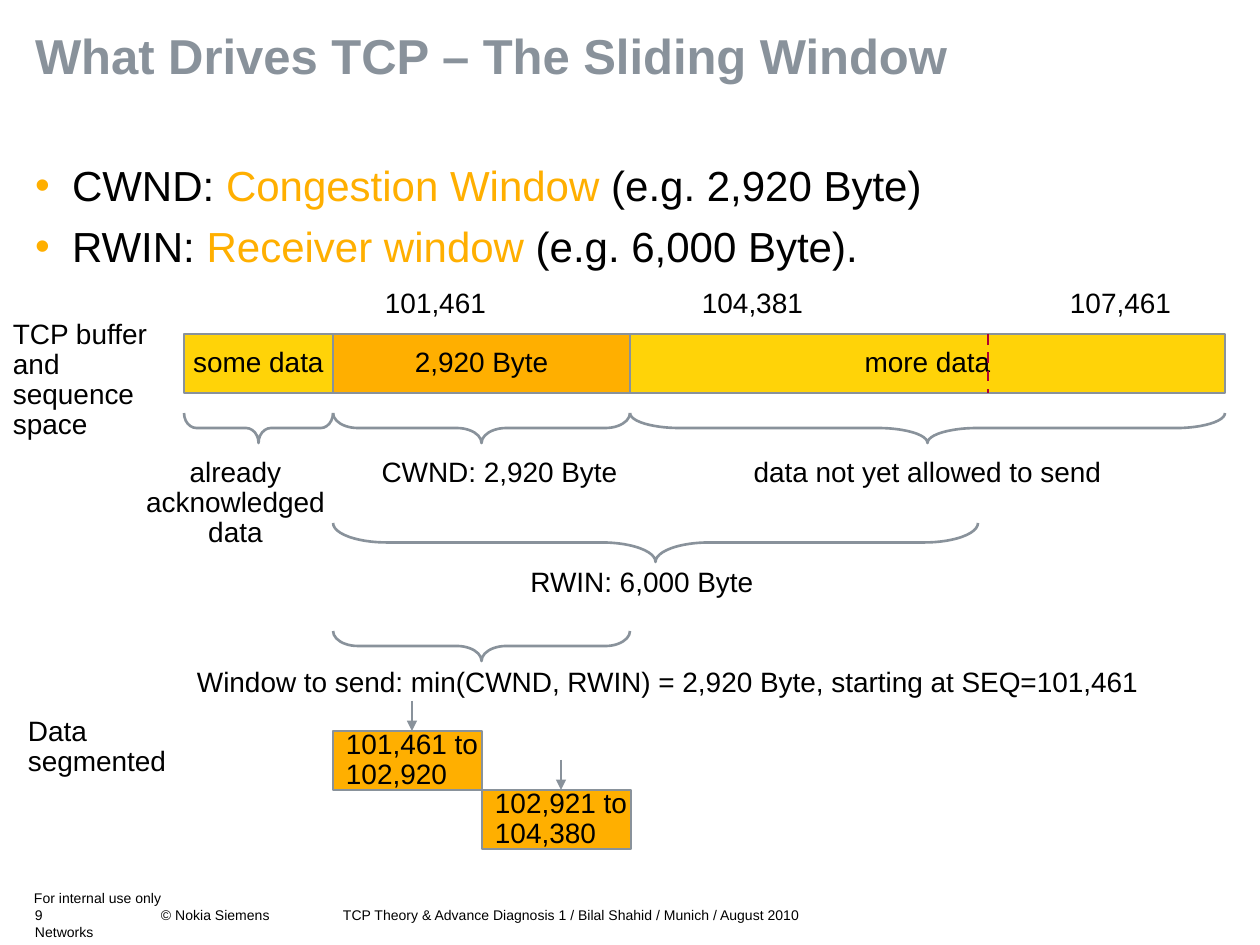
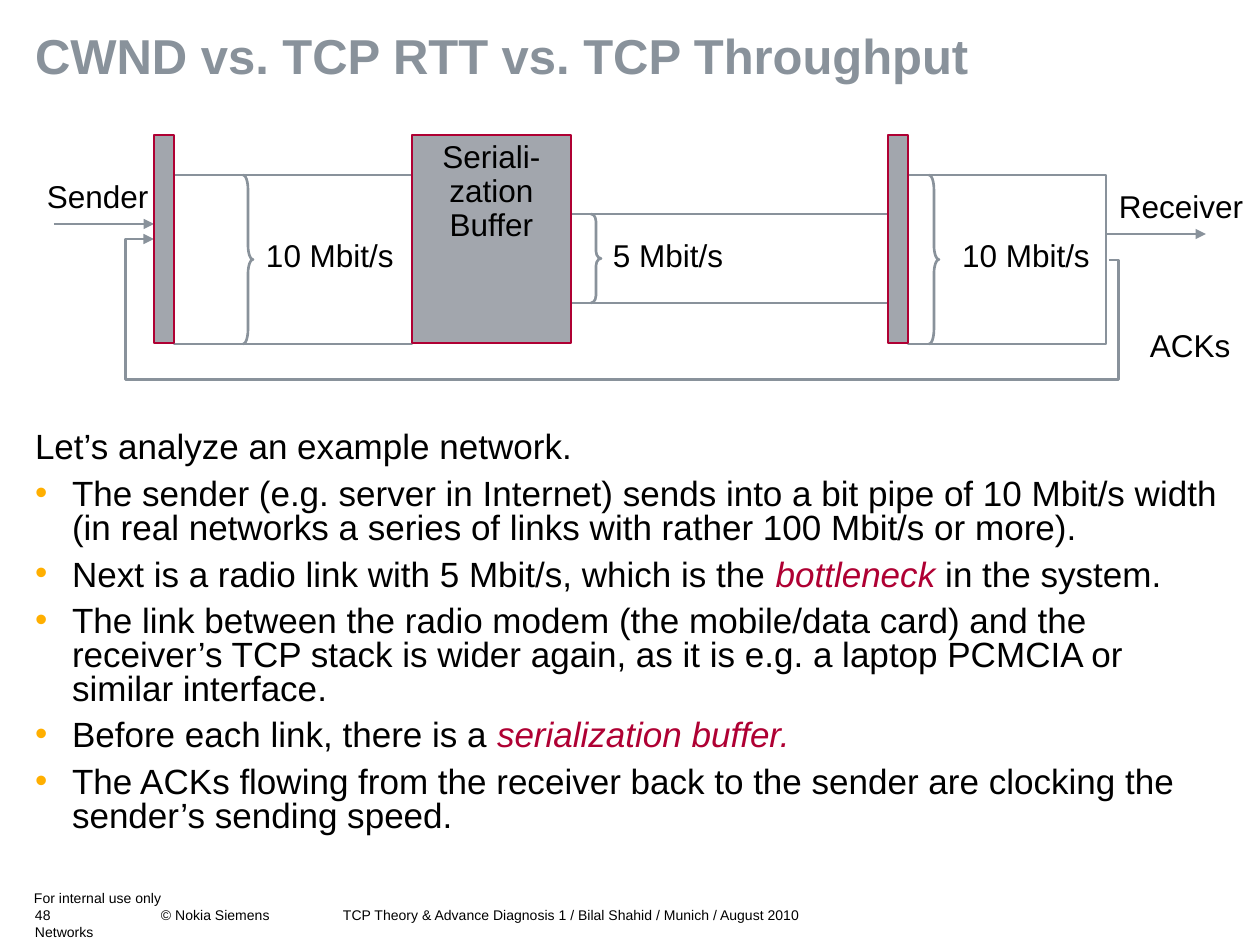
from copy import deepcopy
from dataclasses import dataclass
from typing import Optional

from pptx import Presentation
from pptx.dml.color import RGBColor
from pptx.enum.dml import MSO_LINE
from pptx.enum.shapes import MSO_CONNECTOR as Connector, MSO_SHAPE as Preset
from pptx.enum.text import MSO_ANCHOR as Anchor, MSO_AUTO_SIZE as AutoSize, PP_ALIGN as Align
from pptx.oxml.ns import qn
from pptx.oxml.xmlchemy import OxmlElement
from pptx.util import Emu, Inches, Pt

FONT = "Arial"
PX_PER_INCH = 126
COLORS = {
    "text": "000000",
    "gray": "89929B",
    "orange": "FFAF00",
    "yellow": "FFD308",
    "red": "AF0033",
    "buffer": "A2A6AD",
    "white": "FFFFFF",
}
LINE_WIDTH = Pt(1.5)
INSETS = (13, 6)
TALK = "TCP Theory & Advance Diagnosis 1 / Bilal Shahid / Munich / August 2010"


@dataclass
class Area:
    """Left, top, width and height in px."""
    left: int
    top: int
    width: int
    height: int

    def emu(self) -> list:
        return [px(n) for n in (self.left, self.top, self.width, self.height)]


@dataclass
class Label:
    text: str
    area: Area
    size: int = 16
    align: Align = Align.LEFT
    wrap: bool = False


@dataclass
class Block:
    area: Area
    fill: Optional[str] = None
    line: str = "gray"
    text: str = ""
    size: int = 16
    align: Align = Align.CENTER
    anchor: Anchor = Anchor.MIDDLE
    wrap: bool = False


@dataclass
class Bullets:
    """Paragraph text marks accented passages with bars."""
    area: Area
    size: int
    line_spacing: float
    space_before: float
    accent: str
    accent_italic: bool
    paragraphs: list
    intro: str = ""


def px(number: float) -> Emu:
    return Emu(round(number * Inches(1) / PX_PER_INCH))


def rgb(name: str) -> RGBColor:
    return RGBColor.from_string(COLORS[name])


def add_element(parent, tag: str, **attributes):
    element = OxmlElement(tag)
    for name, value in attributes.items():
        element.set(name, str(value))
    parent.append(element)
    return element


# Text helpers
def format_run(run, size: float, color: str = "text", bold=False, italic=False) -> None:
    font = run.font
    font.name, font.size = FONT, Pt(size)
    font.bold, font.italic = bold, italic
    font.color.rgb = rgb(color)


def set_frame(text_frame, wrap=True, anchor=Anchor.TOP, insets=(0, 0)) -> None:
    text_frame.auto_size = AutoSize.NONE
    text_frame.word_wrap = wrap
    text_frame.vertical_anchor = anchor
    text_frame.margin_left = text_frame.margin_right = px(insets[0])
    text_frame.margin_top = text_frame.margin_bottom = px(insets[1])


def write(text_frame, text: str, size: float, align=Align.LEFT, color="text",
          bold=False, line_spacing: float = 0.9) -> None:
    paragraph = text_frame.paragraphs[0]
    paragraph.text = text
    paragraph.alignment = align
    paragraph.line_spacing = line_spacing
    for run in paragraph.runs:
        format_run(run, size, color, bold)
    # Line breaks take the size of the text around them
    for line_break in paragraph._p.findall(qn("a:br")):
        line_break.append(deepcopy(paragraph.runs[0]._r.get_or_add_rPr()))


def add_label(slide, label: Label) -> None:
    text_frame = slide.shapes.add_textbox(*label.area.emu()).text_frame
    set_frame(text_frame, label.wrap, insets=INSETS)
    write(text_frame, label.text, label.size, label.align)


def add_bullets(slide, bullets: Bullets) -> None:
    text_frame = slide.shapes.add_textbox(*bullets.area.emu()).text_frame
    set_frame(text_frame)
    texts = [bullets.intro] * bool(bullets.intro) + bullets.paragraphs
    for index, text in enumerate(texts):
        paragraph = text_frame.add_paragraph() if index else text_frame.paragraphs[0]
        if text != bullets.intro:
            properties = paragraph._p.get_or_add_pPr()
            properties.set("marL", str(px(37)))
            properties.set("indent", str(px(-37)))
            bullet_color = add_element(properties, "a:buClr")
            add_element(bullet_color, "a:srgbClr", val=COLORS["orange"])
            add_element(properties, "a:buFont", typeface=FONT)
            add_element(properties, "a:buChar", char="•")
        paragraph.line_spacing = bullets.line_spacing
        paragraph.space_before = Pt(bullets.space_before if index else 0)
        for position, part in enumerate(text.split("|")):
            if part:
                accented = position % 2 == 1
                run = paragraph.add_run()
                run.text = part
                format_run(run, bullets.size, bullets.accent if accented else "text",
                           italic=accented and bullets.accent_italic)


# Shape helpers
def add_block(slide, block: Block) -> None:
    shape = slide.shapes.add_shape(Preset.RECTANGLE, *block.area.emu())
    shape.shadow.inherit = False
    if block.fill:
        shape.fill.solid()
        shape.fill.fore_color.rgb = rgb(block.fill)
    else:
        shape.fill.background()
    if block.line:
        shape.line.color.rgb = rgb(block.line)
        shape.line.width = LINE_WIDTH
    else:
        shape.line.fill.background()
    if block.text:
        set_frame(shape.text_frame, block.wrap, block.anchor, INSETS)
        write(shape.text_frame, block.text, block.size, block.align)


def add_brace(slide, area: Area, points_down: bool = False) -> None:
    left, top, width, height = area.left, area.top, area.width, area.height
    if points_down:
        left, top = left + (width - height) / 2, top + (height - width) / 2
        width, height = height, width
    shape = slide.shapes.add_shape(Preset.RIGHT_BRACE, px(left), px(top), px(width), px(height))
    shape.rotation = 90 if points_down else 0
    shape.adjustments[0] = height / 12 / width
    shape.shadow.inherit = False
    shape.fill.background()
    shape.line.color.rgb = rgb("gray")
    shape.line.width = LINE_WIDTH


def add_line(slide, start: tuple, end: tuple, color="gray", arrow=True, kind=Connector.STRAIGHT):
    connector = slide.shapes.add_connector(kind, *map(px, start + end))
    connector.line.color.rgb = rgb(color)
    connector.line.width = LINE_WIDTH
    if arrow:
        add_element(connector.line._get_or_add_ln(), "a:tailEnd", type="triangle")
    add_element(connector._element.spPr, "a:effectLst")
    return connector


def add_return_path(slide, start: tuple, end: tuple, bends: tuple) -> None:
    connector = add_line(slide, start, end, kind=Connector.ELBOW)
    geometry = connector._element.spPr.find(qn("a:prstGeom"))
    geometry.set("prst", "bentConnector5")
    guides = geometry.find(qn("a:avLst"))
    if guides is None:
        guides = add_element(geometry, "a:avLst")
    for number, bend in enumerate(bends, 1):
        add_element(guides, "a:gd", name=f"adj{number}", fmla=f"val {round(bend * 100000)}")


# Title and footers shared by the slides
def add_footer(slide, area: Area, text: str, tab: int = 0) -> None:
    text_frame = slide.shapes.add_textbox(*area.emu()).text_frame
    set_frame(text_frame)
    if tab:
        tabs = add_element(text_frame.paragraphs[0]._p.get_or_add_pPr(), "a:tabLst")
        add_element(tabs, "a:tab", pos=px(tab), algn="l")
    write(text_frame, text, 8, line_spacing=1.0)


def add_titled_slide(presentation, title: str, number: int):
    slide = presentation.slides.add_slide(presentation.slide_layouts[5])
    add_footer(slide, Area(34, 890, 420, 19), "For internal use only")
    add_footer(slide, Area(35, 907, 292, 34), f"{number}\t© Nokia Siemens Networks", tab=126)
    add_footer(slide, Area(343, 907, 525, 17), TALK)
    shape = slide.shapes.title
    shape.left, shape.top, shape.width, shape.height = Area(35, 32, 1189, 113).emu()
    set_frame(shape.text_frame)
    write(shape.text_frame, title, 28, color="gray", bold=True)
    return slide


def build_sliding_window(presentation) -> None:
    slide = add_titled_slide(presentation, "What Drives TCP – The Sliding Window", 9)
    add_bullets(slide, Bullets(Area(35, 165, 1191, 120), 24, 0.9, 9, "orange", False, [
        "CWND: |Congestion Window| (e.g. 2,920 Byte)",
        "RWIN: |Receiver window| (e.g. 6,000 Byte).",
    ]))

    # Sequence space, one brace under each part
    for text, left, width, fill in (("some data", 184, 149, "yellow"),
                                    ("more data", 630, 595, "yellow"),
                                    ("2,920 Byte", 333, 297, "orange")):
        add_block(slide, Block(Area(left, 334, width, 59), fill, text=text))
        add_brace(slide, Area(left, 413, width, 30), points_down=True)

    # Window braces
    add_brace(slide, Area(333, 523, 645, 39), points_down=True)
    add_brace(slide, Area(333, 631, 297, 30), points_down=True)

    for label in (
        Label("TCP buffer\nand sequence space", Area(0, 314, 178, 134), wrap=True),
        Label("already\nacknowledged\ndata", Area(134, 452, 203, 103), align=Align.CENTER),
        Label("CWND: 2,920 Byte", Area(369, 452, 261, 43), align=Align.CENTER),
        Label("data not yet allowed to send", Area(741, 452, 373, 43), align=Align.CENTER),
        Label("RWIN: 6,000 Byte", Area(518, 562, 248, 43), align=Align.CENTER),
        Label("Window to send: min(CWND, RWIN) = 2,920 Byte, starting at SEQ=101,461",
              Area(184, 662, 968, 43)),
        Label("Data segmented", Area(15, 711, 178, 73), wrap=True),
    ):
        add_label(slide, label)

    # Segments step down to the right
    for step, text in enumerate(("101,461 to\n102,920", "102,921 to\n104,380")):
        left, top = 333 + 149 * step, 731 + 59 * step
        add_block(slide, Block(Area(left, top, 149, 59), "orange", text=text, align=Align.LEFT))
        add_line(slide, (left + 79, top - 30), (left + 79, top))

    # Sequence numbers and the end of the receiver window
    for text, left in (("101,461", 372), ("104,381", 689), ("107,461", 1057)):
        add_block(slide, Block(Area(left, 294, 129, 20), "white", "", text,
                               align=Align.LEFT, wrap=True))
    window_end = add_line(slide, (988, 334), (988, 393), "red", arrow=False)
    window_end.line.dash_style = MSO_LINE.DASH


def build_throughput(presentation) -> None:
    slide = add_titled_slide(presentation, "CWND vs. TCP RTT vs. TCP Throughput", 48)
    add_bullets(slide, Bullets(Area(35, 433, 1191, 407), 20, 0.8, 7.5, "red", True, [
        "The sender (e.g. server in Internet) sends into a bit pipe of 10 Mbit/s width "
        "(in real networks a series of links with rather 100 Mbit/s or more).",
        "Next is a radio link with 5 Mbit/s, which is the |bottleneck| in the system.",
        "The link between the radio modem (the mobile/data card) and the receiver’s TCP stack "
        "is wider again, as it is e.g. a laptop PCMCIA or similar interface.",
        "Before each link, there is a |serialization buffer.|",
        "The ACKs flowing from the receiver back to the sender are clocking the "
        "sender’s sending speed.",
    ], intro="Let’s analyze an example network."))

    # Bit pipes with their widths
    for pipe, brace_left, label_left, rate in (
        (Area(174, 175, 238, 169), 243, 253, "10 Mbit/s"),
        (Area(571, 214, 317, 89), 591, 600, "5 Mbit/s"),
        (Area(908, 175, 198, 169), 929, 949, "10 Mbit/s"),
    ):
        add_block(slide, Block(pipe, "white"))
        add_brace(slide, Area(brace_left, pipe.top, 10, pipe.height))
        add_label(slide, Label(rate, Area(label_left, 234, 160, 47), 18, wrap=True))

    # Endpoints and the way back
    add_label(slide, Label("Sender", Area(34, 175, 126, 47), 18))
    add_label(slide, Label("Receiver", Area(1106, 185, 149, 47), 18))
    add_label(slide, Label("ACKs", Area(1137, 324, 106, 47), 18))
    add_return_path(slide, (1109, 260), (154, 239), (-0.01, -5.7, 1.03))
    add_line(slide, (54, 224), (154, 224))
    add_line(slide, (1106, 234), (1206, 234))

    # Buffers in front of the links
    for left, width, text in ((412, 159, "Seriali-zation Buffer"), (888, 20, ""), (154, 20, "")):
        add_block(slide, Block(Area(left, 135, width, 208), "buffer", "red", text, 18,
                               anchor=Anchor.TOP, wrap=True))


def main() -> None:
    presentation = Presentation()
    presentation.slide_width, presentation.slide_height = Inches(10), Inches(7.5)
    build_sliding_window(presentation)
    build_throughput(presentation)
    presentation.save("out.pptx")


if __name__ == "__main__":
    main()
